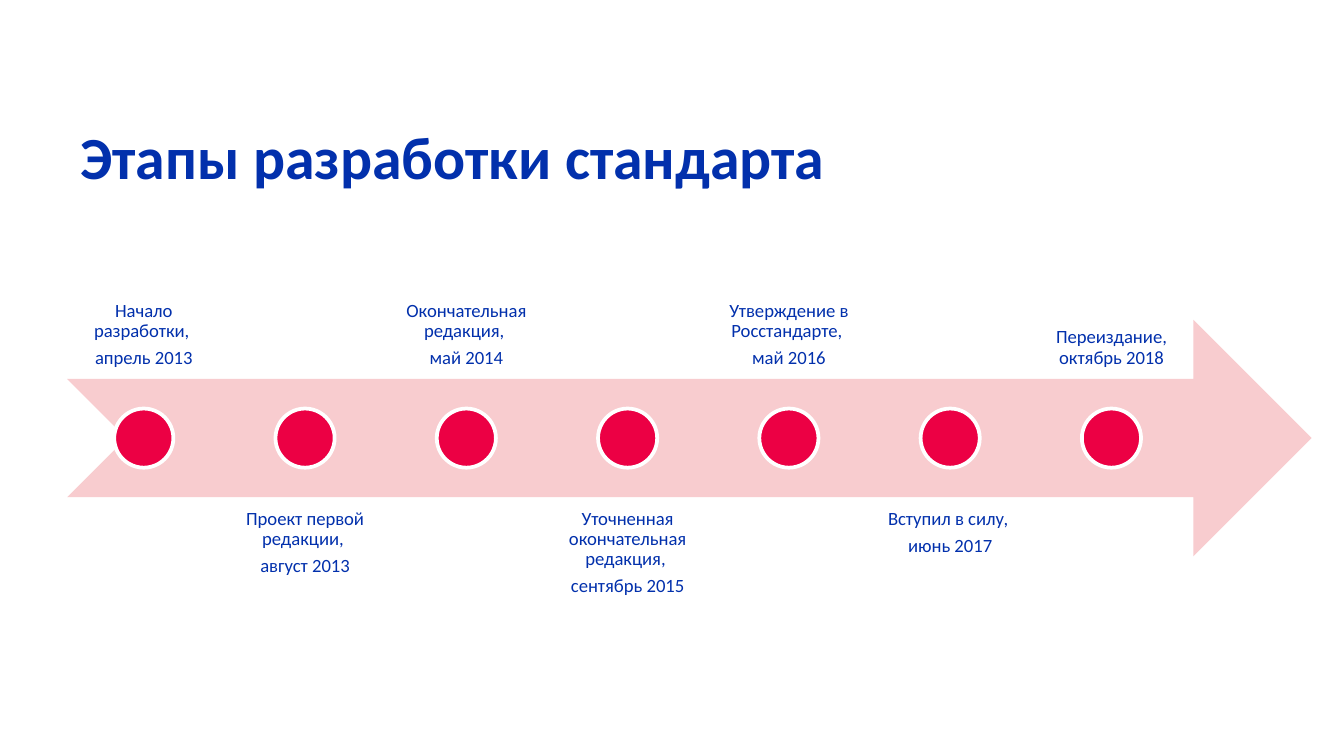
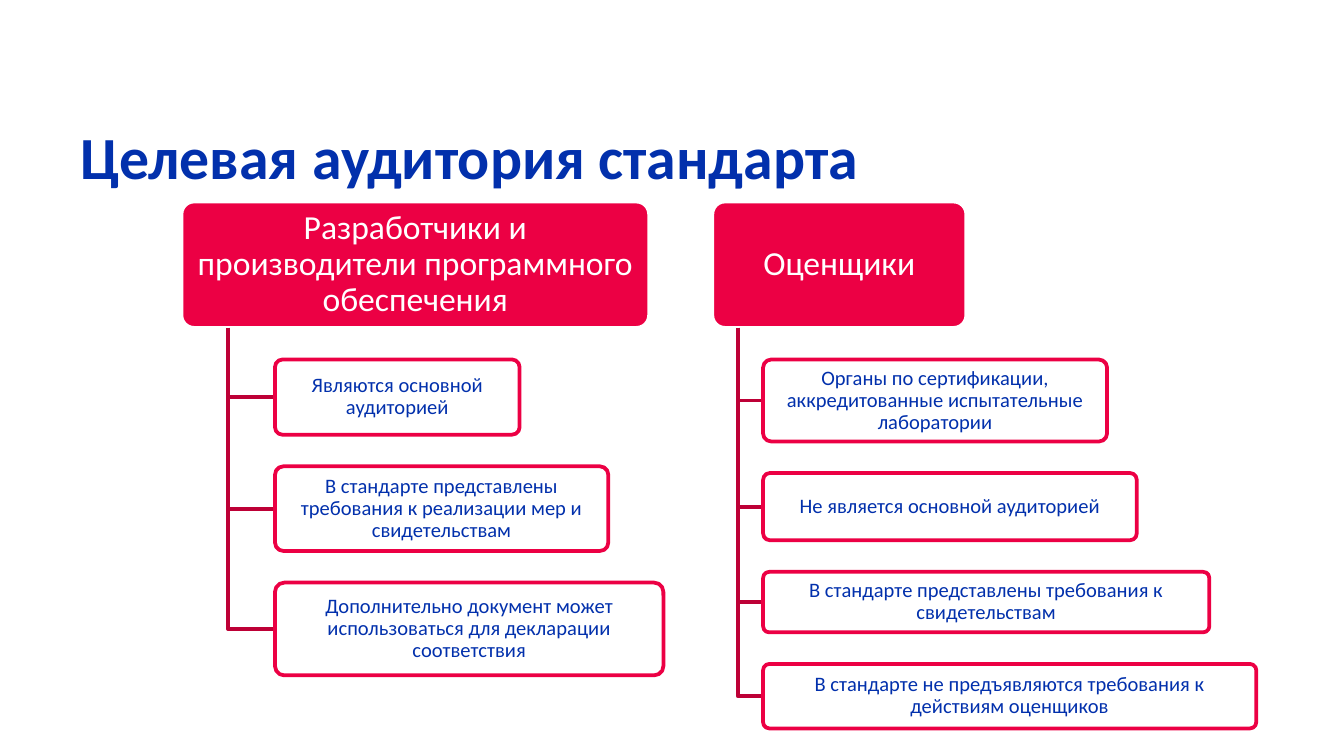
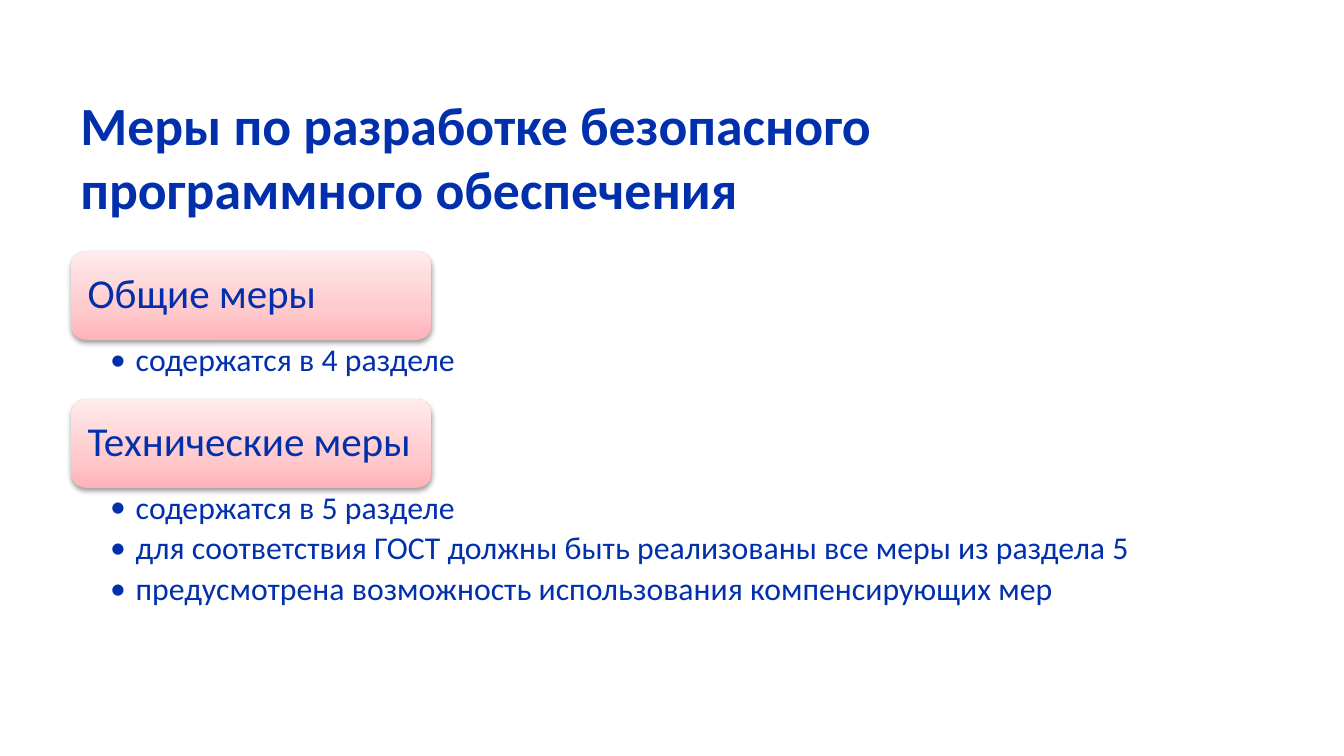
"""Build three slides on a software standard: stages, audience and measures."""
from lxml import etree
from pptx import Presentation
from pptx.dml.color import RGBColor
from pptx.enum.shapes import MSO_SHAPE
from pptx.enum.text import MSO_ANCHOR, PP_ALIGN
from pptx.oxml.ns import qn
from pptx.util import Inches, Pt

ARROW, OVAL, ROUNDED = MSO_SHAPE.NOTCHED_RIGHT_ARROW, MSO_SHAPE.OVAL, MSO_SHAPE.ROUNDED_RECTANGLE
TOP, MIDDLE, BOTTOM = MSO_ANCHOR.TOP, MSO_ANCHOR.MIDDLE, MSO_ANCHOR.BOTTOM
LEFT, CENTER = PP_ALIGN.LEFT, PP_ALIGN.CENTER


class Theme:
    font = "Calibri"
    blue = RGBColor.from_string("0230AC")
    red = RGBColor.from_string("EC0044")
    dark_red = RGBColor.from_string("BD0036")
    pink = RGBColor.from_string("F8CCCF")
    white = RGBColor.from_string("FFFFFF")
    gradient = [(0, "FFB3B9"), (35, "FFCACD"), (100, "FFEBEC")]
    line = Pt(2)
    title = dict(size=32, bold=True, insets=(0.1, 0.05), spacing=1, after=0)
    long_title = dict(title, size=28.8)
    stage = dict(size=10, align=CENTER, insets=(0.08, 0.08))
    header = dict(size=18, color=white, align=CENTER, insets=(0.04, 0.03))
    item = dict(size=11, align=CENTER, insets=(0.02, 0.02))
    group = dict(size=22, insets=(0.09, 0.09))
    bullet = dict(size=17, insets=(0.29, 0.03), right=0.17, after=0.2, bullet=True)


def write(sp, lines, style, anchor=MIDDLE):
    tf = sp.text_frame
    dx, dy = style["insets"]
    frame = dict(word_wrap=True, vertical_anchor=anchor, margin_left=Inches(dx),
                 margin_right=Inches(style.get("right", dx)),
                 margin_top=Inches(dy), margin_bottom=Inches(dy))
    para = dict(alignment=style.get("align", LEFT), line_spacing=style.get("spacing", 0.9),
                space_before=Pt(0), space_after=Pt(style["size"] * style.get("after", 0.35)))
    font = dict(name=Theme.font, size=Pt(style["size"]), bold=style.get("bold", False))
    for name, value in frame.items():
        setattr(tf, name, value)
    for i, line in enumerate(lines):
        p = tf.add_paragraph() if i else tf.paragraphs[0]
        for name, value in para.items():
            setattr(p, name, value)
        r = p.add_run()
        r.text = line
        for name, value in font.items():
            setattr(r.font, name, value)
        r.font.color.rgb = style.get("color", Theme.blue)
        if style.get("bullet"):
            p.level = 1
            pPr = p._p.get_or_add_pPr()
            pPr.set("marL", str(Inches(0.19)))
            pPr.set("indent", str(-Inches(0.19)))
            etree.SubElement(pPr, qn("a:buFont"), typeface=Theme.font)
            etree.SubElement(pPr, qn("a:buChar"), char="•")


def add_shape(s, kind, box, fill=None, line=None):
    sp = s.shapes.add_shape(kind, *(Inches(v) for v in box))
    sp.shadow.inherit = False
    if fill is not None:
        sp.fill.solid()
        sp.fill.fore_color.rgb = fill
    if line is None:
        sp.line.fill.background()
    else:
        sp.line.color.rgb = line
        sp.line.width = Theme.line
    return sp


prs = Presentation()
prs.slide_width = Inches(10)
prs.slide_height = Inches(10) * 9 // 16

titles = [
    ("Этапы разработки стандарта", 6.86, Theme.title),
    ("Целевая аудитория стандарта", 6.86, Theme.title),
    ("Меры по разработке безопасного программного обеспечения", 8.37, Theme.long_title),
]
for text, width, style in titles:
    s = prs.slides.add_slide(prs.slide_layouts[6])
    tb = s.shapes.add_textbox(Inches(0.5), Inches(0.82), Inches(width), Inches(0.68))
    write(tb, [text], style)
stages_slide, audience_slide, measures_slide = prs.slides

stages = [
    ["Начало разработки, ", "апрель 2013"],
    ["Проект первой редакции, ", "август 2013"],
    ["Окончательная редакция, ", "май 2014"],
    ["Уточненная окончательная редакция, ", "сентябрь 2015"],
    ["Утверждение в Росстандарте, ", "май 2016"],
    ["Вступил в силу, ", "июнь 2017"],
    ["Переиздание, октябрь 2018"],
]
s = stages_slide
add_shape(s, ARROW, (0.5, 2.38, 9.26, 1.76), Theme.pink)
for i, lines in enumerate(stages):
    x = 0.5 + 1.2 * i
    y, anchor = (3.71, TOP) if i % 2 else (1.04, BOTTOM)
    tb = s.shapes.add_textbox(Inches(x), Inches(y), Inches(1.14), Inches(1.78))
    write(tb, lines, Theme.stage, anchor)
    add_shape(s, OVAL, (x + 0.35, 3.04, 0.44, 0.44), Theme.red, Theme.white)

audiences = [
    (1.35, 3.48, "Разработчики и производители программного обеспечения", [
        (1.82, 0.56, "Являются основной аудиторией"),
        (2.48, 0.63, "В стандарте представлены требования к реализации мер и свидетельствам"),
        (2.89, 0.69, "Дополнительно документ может использоваться для декларации соответствия"),
    ]),
    (5.3, 1.89, "Оценщики", [
        (2.56, 0.61, "Органы по сертификации, аккредитованные испытательные лаборатории"),
        (2.78, 0.5, "Не является основной аудиторией"),
        (3.32, 0.45, "В стандарте представлены требования к свидетельствам"),
        (3.67, 0.48, "В стандарте не предъявляются требования к действиям оценщиков"),
    ]),
]
s = audience_slide
header_y, header_h = 1.5, 0.94
header_bottom, gap = header_y + header_h, header_h / 4
for x, width, header, items in audiences:
    sp = add_shape(s, ROUNDED, (x, header_y, width, header_h), Theme.red, Theme.white)
    sp.adjustments[0] = 0.1
    write(sp, [header], Theme.header)
    trunk_x, item_x = x + width * 0.1, x + width * 0.2
    y = header_bottom + gap
    for item_w, item_h, text in items:
        mid = y + item_h / 2
        fb = s.shapes.build_freeform(Inches(trunk_x), Inches(header_bottom))
        fb.add_line_segments([(Inches(trunk_x), Inches(mid)), (Inches(item_x), Inches(mid))], close=False)
        elbow = fb.convert_to_shape()
        elbow.shadow.inherit = False
        elbow.fill.background()
        elbow.line.color.rgb = Theme.dark_red
        elbow.line.width = Theme.line
        sp = add_shape(s, ROUNDED, (item_x, y, item_w, item_h), Theme.white, Theme.red)
        sp.adjustments[0] = 0.1
        color = sp._element.spPr.find(qn("a:solidFill")).find(qn("a:srgbClr"))
        etree.SubElement(color, qn("a:alpha"), val="90000")
        write(sp, [text], Theme.item)
        y += item_h + gap

measures = [
    (1.87, 0.45, "Общие меры", ["содержатся в 4 разделе"]),
    (2.97, 1.44, "Технические меры", [
        "содержатся в 5 разделе",
        "для соответствия ГОСТ должны быть реализованы все меры из раздела 5",
        "предусмотрена возможность использования компенсирующих мер",
    ]),
]
s = measures_slide
for y, list_h, group, bullets in measures:
    sp = add_shape(s, ROUNDED, (0.53, y, 2.68, 0.66))
    sp.fill.gradient()
    sp.fill.gradient_angle = 90
    spPr = sp._element.spPr
    stops = spPr.find(qn("a:gradFill")).find(qn("a:gsLst"))
    for stop in list(stops):
        stops.remove(stop)
    for pos, color in Theme.gradient:
        stop = etree.SubElement(stops, qn("a:gs"), pos=str(pos * 1000))
        etree.SubElement(stop, qn("a:srgbClr"), val=color)
    shadow = etree.SubElement(spPr.find(qn("a:effectLst")), qn("a:outerShdw"), blurRad=str(Pt(3.1)),
                              dist=str(Pt(1.6)), dir="5400000", rotWithShape="0")
    color = etree.SubElement(shadow, qn("a:srgbClr"), val="000000")
    etree.SubElement(color, qn("a:alpha"), val="38000")
    write(sp, [group], Theme.group)
    tb = s.shapes.add_textbox(Inches(0.53), Inches(y + 0.66), Inches(9.13), Inches(list_h))
    write(tb, bullets, Theme.bullet, TOP)

prs.save("out.pptx")
